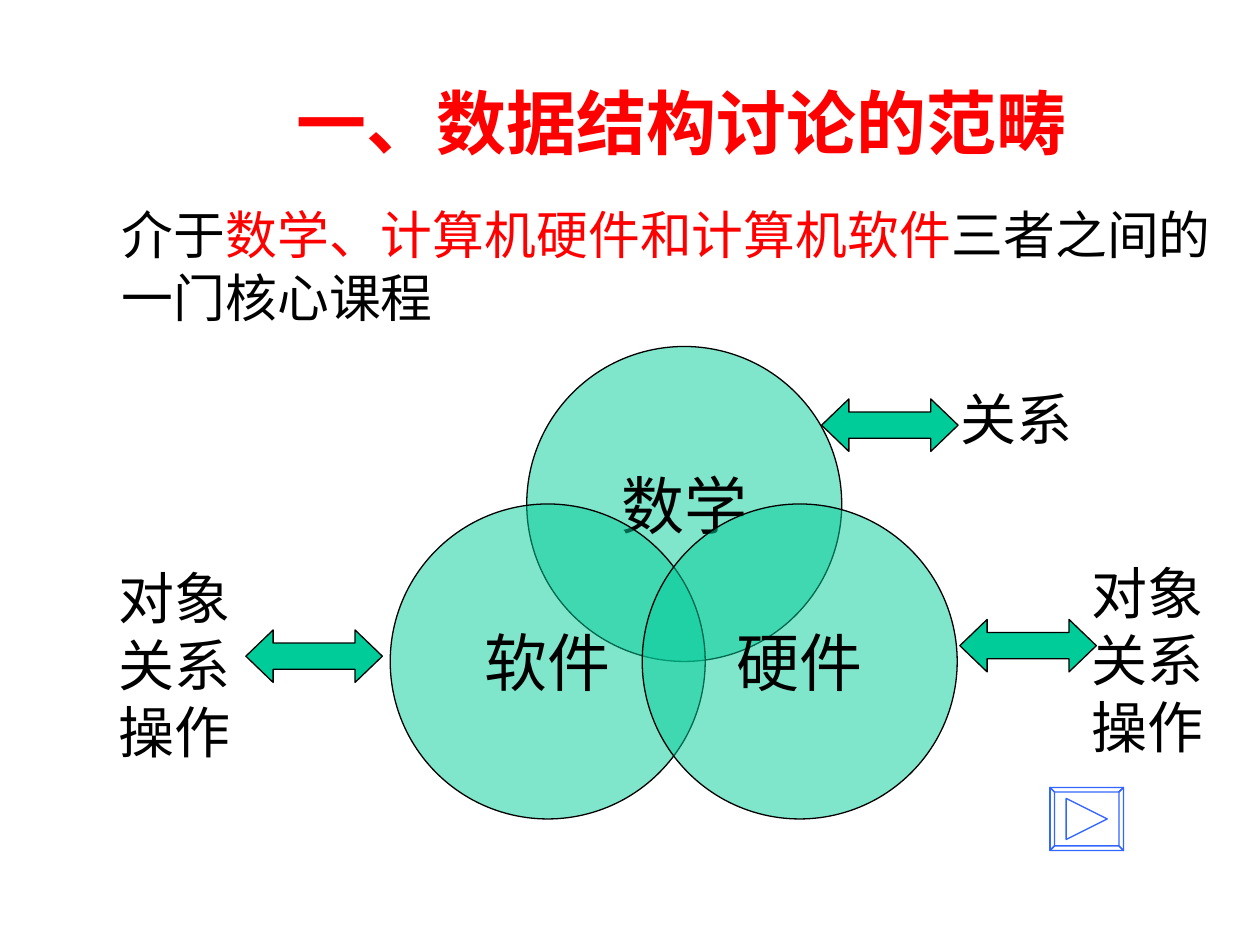
import pptx
import pptx.dml.color
import pptx.enum.lang
import pptx.enum.shapes
import pptx.enum.text
import pptx.oxml.ns
import pptx.util
from lxml import etree

Pt = pptx.util.Pt
RGBColor = pptx.dml.color.RGBColor
SHAPE = pptx.enum.shapes.MSO_SHAPE
ANCHOR = pptx.enum.text.MSO_ANCHOR
ALIGN = pptx.enum.text.PP_ALIGN
AUTO_SIZE = pptx.enum.text.MSO_AUTO_SIZE
CHINESE = pptx.enum.lang.MSO_LANGUAGE_ID.SIMPLIFIED_CHINESE

RED = RGBColor(0xFF, 0, 0)
BLACK = RGBColor(0, 0, 0)
WHITE = RGBColor(0xFF, 0xFF, 0xFF)
GREEN = RGBColor(0, 0xCC, 0x99)
BLUE = RGBColor(0x33, 0x66, 0xFF)


class SlideBuilder:
    title_font = "Noto Sans CJK SC"
    body_font = "Times New Roman"
    label_font = "Arial"
    circle_font = "Arial Narrow"
    line_width = 0.75

    def __init__(self, slide):
        self.slide = slide

    def add_text(self, paragraph, text, font, size, color=BLACK, bold=False):
        run = paragraph.add_run()
        run.text = text
        run.font.name = font
        run.font.size = Pt(size)
        run.font.bold = bold
        run.font.color.rgb = color
        run.font.language_id = CHINESE

    def paint(self, shape, fill, line):
        shape.shadow.inherit = False
        if fill is None:
            shape.fill.background()
        else:
            shape.fill.solid()
            shape.fill.fore_color.rgb = fill
        if line is None:
            shape.line.fill.background()
        else:
            shape.line.color.rgb = line
            shape.line.width = Pt(self.line_width)

    def title(self, text, left, top, width, height):
        title = self.slide.shapes.title
        title.left, title.top = Pt(left), Pt(top)
        title.width, title.height = Pt(width), Pt(height)
        frame = title.text_frame
        frame.vertical_anchor = ANCHOR.MIDDLE
        frame.paragraphs[0].alignment = ALIGN.CENTER
        self.add_text(frame.paragraphs[0], text, self.title_font, 40, RED, True)

    def statement(self, parts, left, top, width, height):
        box = self.slide.shapes.add_textbox(Pt(left), Pt(top), Pt(width), Pt(height))
        box.text_frame.word_wrap = True
        for text, color in parts:
            self.add_text(box.text_frame.paragraphs[0], text, self.body_font, 29.6, color)

    def label(self, lines, left, top, width, height, fill=None):
        box = self.slide.shapes.add_textbox(Pt(left), Pt(top), Pt(width), Pt(height))
        self.paint(box, fill, None)
        frame = box.text_frame
        frame.word_wrap = fill is None
        frame.auto_size = AUTO_SIZE.SHAPE_TO_FIT_TEXT
        for index, line in enumerate(lines):
            paragraph = frame.add_paragraph() if index else frame.paragraphs[0]
            self.add_text(paragraph, line, self.label_font, 32)

    def circles(self, places, diameter):
        venn = self.slide.shapes.add_group_shape()
        for text, left, top in places:
            circle = venn.shapes.add_shape(
                SHAPE.OVAL, Pt(left), Pt(top), Pt(diameter), Pt(diameter))
            self.paint(circle, GREEN, BLACK)
            # Half-transparent fill
            color = circle.element.spPr.find(
                pptx.oxml.ns.qn("a:solidFill") + "/" + pptx.oxml.ns.qn("a:srgbClr"))
            etree.SubElement(color, pptx.oxml.ns.qn("a:alpha"), val="50000")
            frame = circle.text_frame
            frame.word_wrap = False
            frame.vertical_anchor = ANCHOR.MIDDLE
            frame.paragraphs[0].alignment = ALIGN.CENTER
            self.add_text(frame.paragraphs[0], text, self.circle_font, 36)

    def double_arrow(self, left, top):
        arrow = self.slide.shapes.add_shape(
            SHAPE.LEFT_RIGHT_ARROW, Pt(left), Pt(top), Pt(78), Pt(30))
        arrow.adjustments[0] = 0.5
        arrow.adjustments[1] = 0.52
        self.paint(arrow, GREEN, BLACK)

    def next_button(self, left, top, width, height, bevel=2.6):
        right, bottom = left + width, top + height
        outer = [(left, top), (right, top), (right, bottom), (left, bottom)]
        inner = [(left + bevel, top + bevel), (right - bevel, top + bevel),
                 (right - bevel, bottom - bevel), (left + bevel, bottom - bevel)]
        sides = [[outer[i], outer[(i + 1) % 4], inner[(i + 1) % 4], inner[i]]
                 for i in range(4)]
        middle_x, middle_y, half = left + width / 2, top + height / 2, 11.75
        triangle = [(middle_x - half, middle_y - half), (middle_x + half, middle_y),
                    (middle_x - half, middle_y + half)]
        builder = self.slide.shapes.build_freeform(Pt(left), Pt(top))
        for outline in [outer, *sides, triangle]:
            points = [(Pt(x), Pt(y)) for x, y in outline]
            builder.move_to(*points[0])
            builder.add_line_segments(points[1:], close=True)
        self.paint(builder.convert_to_shape(), None, BLUE)


def main():
    deck = pptx.Presentation()
    deck.slide_width, deck.slide_height = Pt(720), Pt(540)
    page = SlideBuilder(deck.slides.add_slide(deck.slide_layouts[5]))

    # Heading and statement
    page.title("一、数据结构讨论的范畴", 152.5, 39.5, 474, 60)
    page.statement([("介于", BLACK), ("数学、计算机硬件和计算机软件", RED),
                    ("三者之间的一门核心课程", BLACK)], 62.5, 112.5, 638, 84)

    page.next_button(600, 450, 42, 36)

    # Labels on the right, the diagram and its arrows
    aspects = ["对象", "关系", "操作"]
    page.label(["关系"], 542, 216, 84, 46)
    page.label(aspects, 616.5, 315.5, 78.5, 122.5, WHITE)
    page.circles([("数学", 301, 198), ("软件", 223, 288), ("硬件", 367, 288)], 180)
    for left, top in [(469.5, 228), (548.5, 354), (140.5, 360)]:
        page.double_arrow(left, top)

    # Label on the left
    page.label(aspects, 60.5, 318.5, 78.5, 122.5, WHITE)

    deck.save("out.pptx")


if __name__ == "__main__":
    main()
